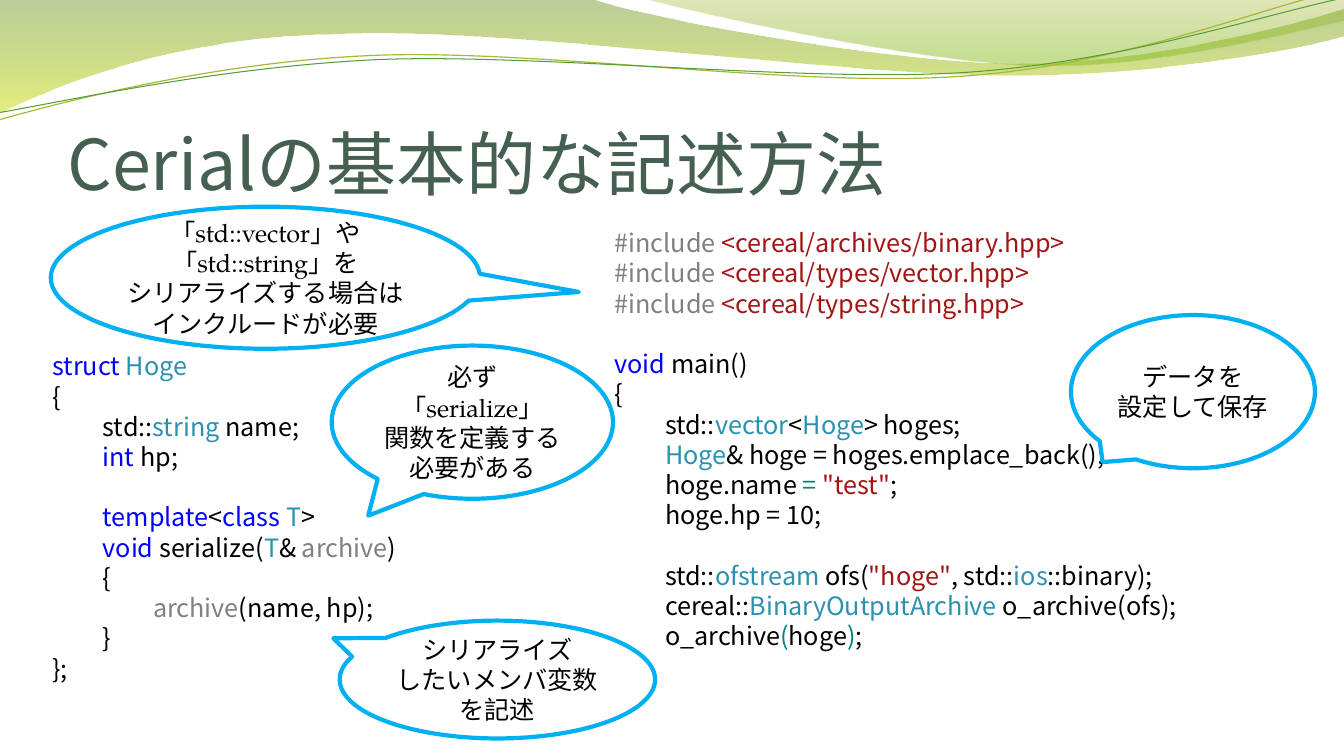
from pptx import Presentation
from pptx.dml.color import RGBColor
from pptx.enum.shapes import MSO_SHAPE
from pptx.enum.text import MSO_ANCHOR, PP_ALIGN
from pptx.oxml.ns import qn
from pptx.util import Cm, Pt
from lxml.etree import SubElement

BLUE, TEAL, GRAY, RED, CYAN = "0000FF", "2B91AF", "808080", "A31515", "008080"
BLACK, WHITE = "000000", "FFFFFF"


def rgb(color):
    return RGBColor.from_string(color)


def add_run(p, text, size=18, font="Noto Sans CJK JP", color=BLACK):
    r = p.add_run()
    r.text = text
    r.font.size = Pt(size)
    r.font.name = font
    r.font.color.rgb = rgb(color)
    SubElement(r._r.get_or_add_rPr(), qn("a:ea")).set("typeface", "Noto Sans CJK JP")


def bend(sp, steps):
    """Merge the three straight segments of each six-number step into one cubic curve."""
    segments = iter(list(sp._element.iter(qn("a:lnTo"))))
    for step in steps:
        first = next(segments)
        if len(step) == 6:
            first.tag = qn("a:cubicBezTo")
            for _ in range(2):
                segment = next(segments)
                first.append(segment[0])
                segment.getparent().remove(segment)


class SlideBuilder:
    pitch = Pt(21.6)
    callout_font = "TeX Gyre Pagella"
    callout_line = "00B0F0"

    def __init__(self, s):
        self.s = s

    def freeform(self, start, steps, close):
        """Draw steps that are lines (x, y) or cubic curves (x1, y1, x2, y2, x, y)."""
        points = [(Cm(step[i]), Cm(step[i + 1]))
                  for step in steps for i in range(0, len(step), 2)]
        builder = self.s.shapes.build_freeform(Cm(start[0]), Cm(start[1]))
        builder.add_line_segments(points, close=close)
        sp = builder.convert_to_shape()
        bend(sp, steps)
        sp.shadow.inherit = False
        return sp

    def band(self, start, steps, stops):
        """Draw a closed wave; stops are (position, colour, opacity percent)."""
        sp = self.freeform(start, steps, True)
        sp.line.fill.background()
        sp.fill.gradient()
        sp.fill.gradient_angle = 270
        for stop, (position, color, _) in zip(sp.fill.gradient_stops, stops):
            stop.position = position
            stop.color.rgb = rgb(color)
        for clr, (_, _, opacity) in zip(sp._element.spPr.iter(qn("a:srgbClr")), stops):
            SubElement(clr, qn("a:alpha")).set("val", str(opacity * 1000))

    def wave(self, start, steps, color, width):
        sp = self.freeform(start, steps, False)
        sp.fill.background()
        sp.line.color.rgb = rgb(color)
        sp.line.width = Pt(width)

    def textbox(self, x, y, w, h):
        tf = self.s.shapes.add_textbox(Cm(x), Cm(y), Cm(w), Cm(h)).text_frame
        tf.word_wrap = True
        return tf

    def title(self, text, x, y, w, h):
        tf = self.textbox(x, y, w, h)
        tf.vertical_anchor = MSO_ANCHOR.BOTTOM
        tf.margin_left = tf.margin_right = tf.margin_bottom = 0
        p = tf.paragraphs[0]
        p.line_spacing = 0.8
        add_run(p, text, size=50, color="455F51")

    def code(self, blocks, x, y, w, h):
        """Write blocks of lines; a line is (level, text or (text, colour), ...)."""
        tf = self.textbox(x, y, w, h)
        p = tf.paragraphs[0]
        for b, block in enumerate(blocks):
            for n, (level, *runs) in enumerate(block):
                if b or n:
                    p = tf.add_paragraph()
                p.level = level
                p.line_spacing = self.pitch
                if b and n == 0:
                    p.space_before = self.pitch
                for run in runs:
                    text, color = (run, BLACK) if isinstance(run, str) else run
                    add_run(p, text, color=color)

    def callout(self, lines, x, y, w, h, tip):
        sp = self.s.shapes.add_shape(MSO_SHAPE.OVAL_CALLOUT, Cm(x), Cm(y), Cm(w), Cm(h))
        sp.shadow.inherit = False
        sp.adjustments[0], sp.adjustments[1] = tip
        sp.fill.solid()
        sp.fill.fore_color.rgb = rgb(WHITE)
        sp.line.color.rgb = rgb(self.callout_line)
        sp.line.width = Pt(3)
        tf = sp.text_frame
        tf.word_wrap = True
        tf.vertical_anchor = MSO_ANCHOR.MIDDLE
        for n, line in enumerate(lines):
            p = tf.add_paragraph() if n else tf.paragraphs[0]
            p.alignment = PP_ALIGN.CENTER
            p.line_spacing = self.pitch
            add_run(p, line, font=self.callout_font)


STRUCT_CODE = [
    [(0, ("struct ", BLUE), ("Hoge", TEAL)),
     (0, "{"),
     (1, "std::", ("string", TEAL), " name;"),
     (1, ("int ", BLUE), "hp;")],
    [(1, ("template", BLUE), "<", ("class ", BLUE), ("T", TEAL), ">"),
     (1, ("void", BLUE), " serialize(", ("T", TEAL), "& ", ("archive", GRAY), ")"),
     (1, "{"),
     (1, ("\tarchive", GRAY), "(name, hp);"),
     (1, "}"),
     (0, "};")],
]
MAIN_CODE = [
    [(0, ("#include ", GRAY), (f"<cereal/{header}.hpp>", RED))
     for header in ("archives/binary", "types/vector", "types/string")],
    [(0, ("void", BLUE), " main()"),
     (0, "{"),
     (1, "std::", ("vector", TEAL), "<", ("Hoge", TEAL), "> hoges;"),
     (1, ("Hoge", TEAL), "& hoge = hoges.emplace_back();"),
     (1, "hoge.name ", ("= ", CYAN), ('"test"', RED), ";"),
     (1, "hoge.hp = 10;")],
    [(1, "std::", ("ofstream ", TEAL), "ofs(", ('"hoge"', RED), ", std::",
      ("ios", TEAL), "::binary);"),
     (1, "cereal::", ("BinaryOutputArchive ", TEAL), "o_archive(ofs);"),
     (1, "o_archive", ("(", CYAN), "hoge", (")", CYAN), ";"),
     (0, "}")],
]
CALLOUTS = [
    (["必ず「serialize」", "関数を定義する必要がある"],
     8.36, 8.71, 7.09, 3.86, (-0.37, 0.61)),
    (["「std::vector」や", "「std::string」を", "シリアライズする場合は", "インクルードが必要"],
     1.28, 5.21, 10.82, 3.58, (0.73, 0.1)),
    (["データを", "設定して保存"], 26.99, 7.94, 6.15, 3.86, (-0.37, 0.46)),
    (["シリアライズ", "したいメンバ変数を記述"], 8.56, 15.64, 7.95, 2.97, (-0.52, -0.35)),
]


def main():
    prs = Presentation()
    prs.slide_width, prs.slide_height = Cm(33.87), Cm(19.05)
    slide = SlideBuilder(prs.slides.add_slide(prs.slide_layouts[6]))

    slide.band((0, 0),
               [(14.91, -0.03), (16.1, 0.43, 22.45, 1.6, 25.68, 1.6),
                (28.88, 1.6, 32.44, 0.66, 33.86, 0.23), (33.88, 0.91),
                (33.3, 1.12, 29.44, 1.93, 25.25, 1.9),
                (21.06, 1.9, 12.93, 0.71, 8.71, 0.86),
                (4.37, 0.91, 1.55, 2.11, -0.05, 2.87)],
               [(0, "69921C", 45), (1, "CCE10F", 55)])
    slide.band((16.21, -0.03),
               [(17.25, 0.28, 23.09, 1.57, 26.04, 1.65),
                (28.96, 1.75, 32.56, 0.81, 33.86, 0.53), (33.86, 0)],
               [(0, "9BAA1A", 30), (0.8, "81BA16", 45)])
    slide.wave((-0.03, 3.02),
               [(1.6, 2.57, 5.33, 1.57, 9.37, 1.4),
                (13.39, 1.22, 20.04, 2.21, 24.1, 1.93),
                (28.19, 1.68, 31.78, 0.2, 33.78, -0.25)], "A9B733", 0.85)
    slide.wave((-0.03, 2.84),
               [(1.57, 2.57, 5.54, 1.68, 9.58, 1.5),
                (13.64, 1.35, 20.22, 2.08, 24.26, 1.83),
                (28.3, 1.57, 31.88, 0.36, 33.86, -0.05)], "549E39", 0.75)

    slide.title("Cerialの基本的な記述方法", 1.7, 1.96, 30.48, 3.18)
    slide.code(STRUCT_CODE, 1.07, 8.71, 11.23, 8.71)
    slide.code(MAIN_CODE, 15.24, 5.61, 16.94, 11.79)
    for callout in CALLOUTS:
        slide.callout(*callout)
    prs.save("out.pptx")


if __name__ == "__main__":
    main()
